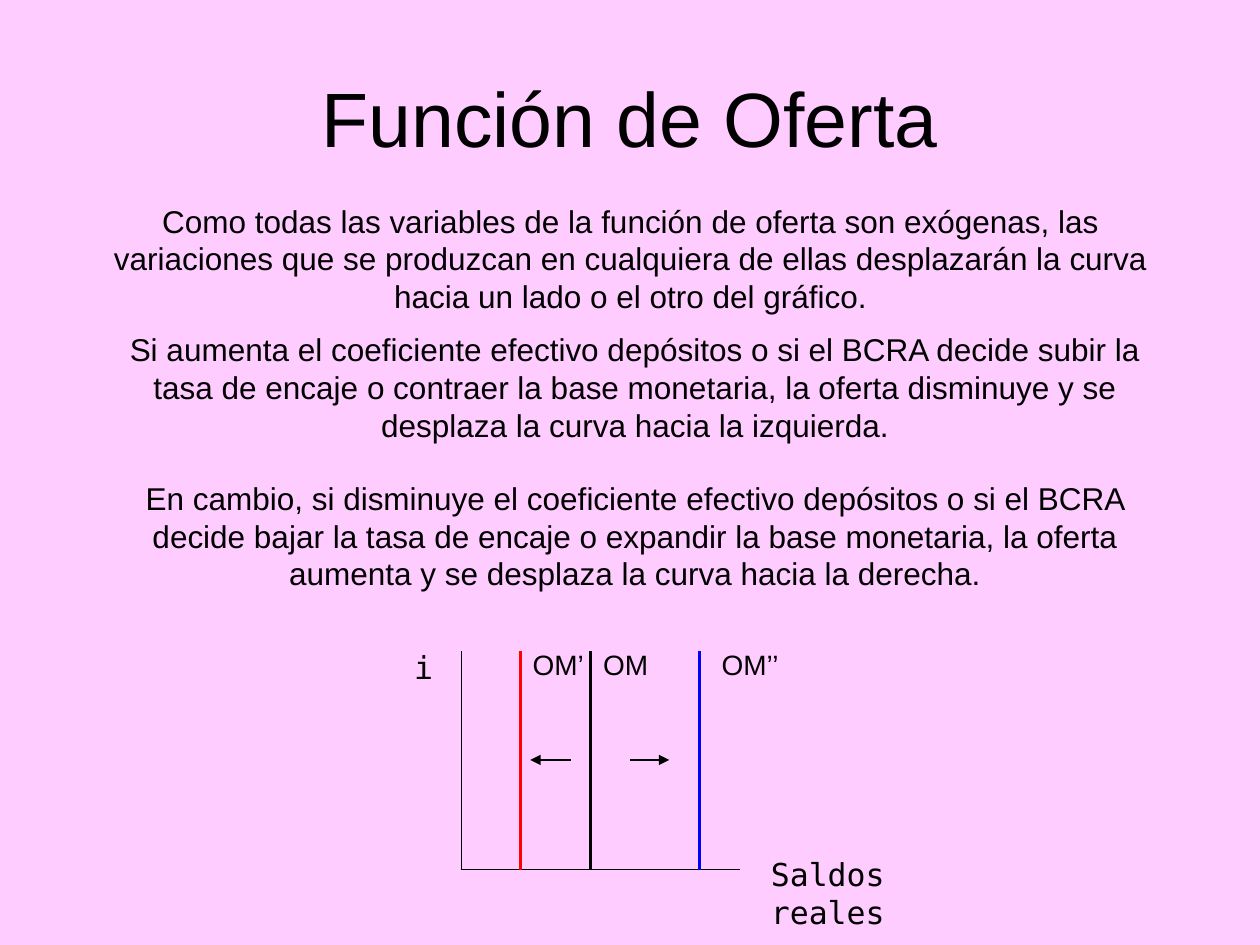
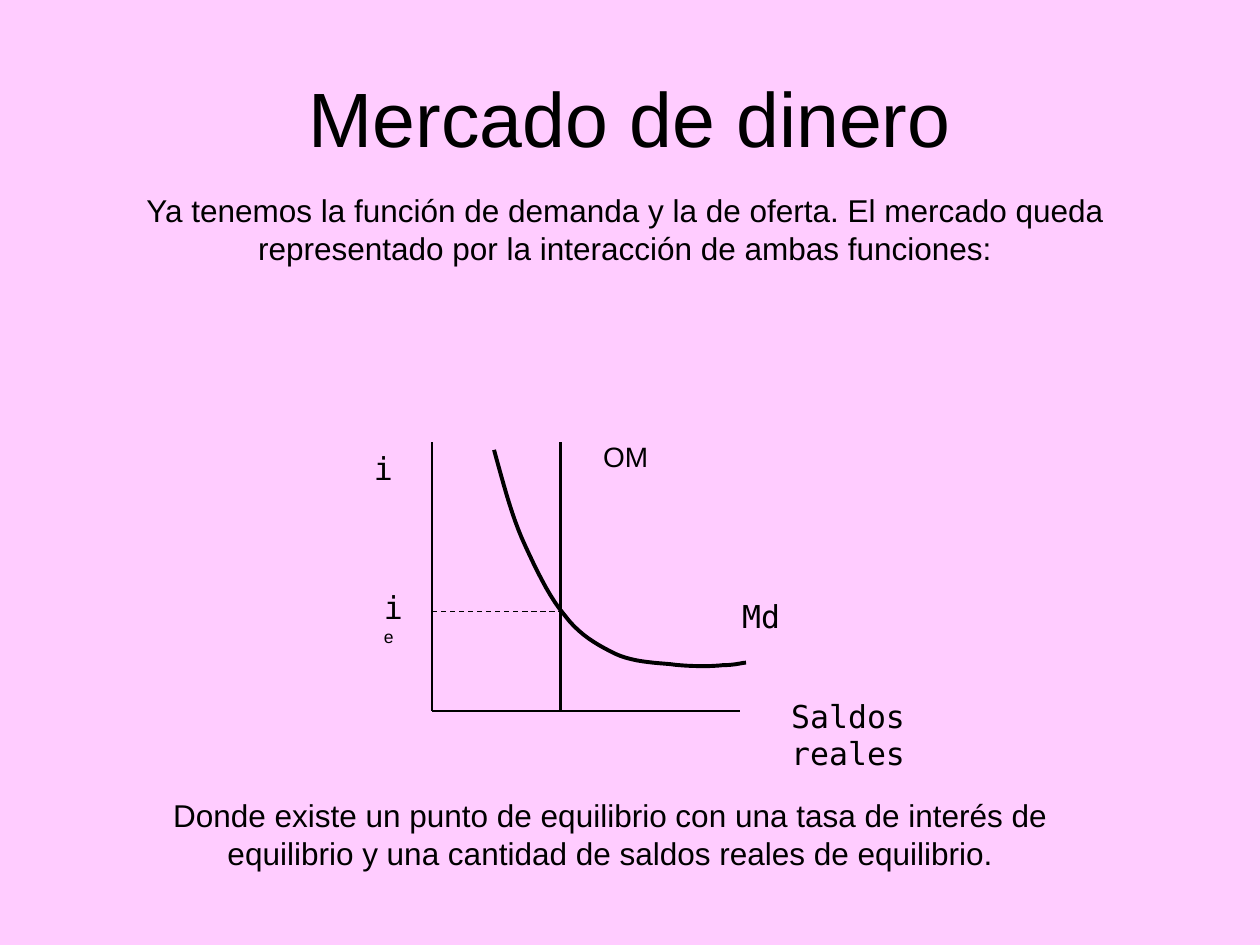
"""Builds two slides on money supply and the money market."""
from lxml import etree
from pptx import Presentation
from pptx.dml.color import RGBColor
from pptx.enum.dml import MSO_LINE
from pptx.enum.shapes import MSO_CONNECTOR
from pptx.enum.text import MSO_ANCHOR, PP_ALIGN
from pptx.oxml.ns import qn
from pptx.util import Cm, Pt

PINK = RGBColor(0xFF, 0xCC, 0xFF)
BLACK = RGBColor(0, 0, 0)
RED = RGBColor(0xFF, 0, 0)
BLUE = RGBColor(0, 0, 0xFF)

SANS = "Arial"
MONO = "DejaVu Sans Mono"

LEFT, CENTER = PP_ALIGN.LEFT, PP_ALIGN.CENTER
TOP, MIDDLE = MSO_ANCHOR.TOP, MSO_ANCHOR.MIDDLE
STRAIGHT = MSO_CONNECTOR.STRAIGHT
DASH = MSO_LINE.DASH

THIN, CURVE, THICK = 0.75, 1.75, 2.25
STEPS = 10

DEMAND_START = (9.96, 9.07)
DEMAND_BEZIERS = [
    ((10.13, 9.68), (10.29, 10.31), (10.52, 10.85)),
    ((10.77, 11.4), (11.05, 12.01), (11.38, 12.4)),
    ((11.68, 12.8), (12.04, 13), (12.4, 13.18)),
    ((12.75, 13.34), (13.16, 13.36), (13.51, 13.39)),
    ((13.87, 13.44), (14.33, 13.44), (14.58, 13.41)),
    ((14.83, 13.41), (14.96, 13.36), (15.04, 13.36)),
]


def add_run(p, text, size=18, font=SANS, color=BLACK):
    """Append a formatted run to a paragraph."""
    r = p.add_run()
    r.text = text
    r.font.size = Pt(size)
    r.font.name = font
    r.font.color.rgb = color


def add_text(s, text, x, y, w, h, align=LEFT, anchor=TOP, before=11.2, **font):
    """Add a wrapped text box and return its paragraph."""
    tf = s.shapes.add_textbox(Cm(x), Cm(y), Cm(w), Cm(h)).text_frame
    tf.word_wrap = True
    tf.vertical_anchor = anchor
    p = tf.paragraphs[0]
    p.alignment = align
    p.space_before = Pt(before)
    add_run(p, text, **font)
    return p


def add_body(s, text, x, y, w=22.2, h=1.78):
    """Add a centred body paragraph."""
    add_text(s, text, x, y, w, h, align=CENTER)


def add_curve_label(s, text, x, y, w=1.6):
    """Add the name of a supply curve."""
    add_text(s, text, x, y, w, 0.94, before=10, size=16)


def add_line(s, x1, y1, x2, y2, color=BLACK, width=THIN, dash=None, arrow=False):
    """Add a straight line, optionally dashed or with an arrowhead."""
    line = s.shapes.add_connector(STRAIGHT, Cm(x1), Cm(y1), Cm(x2), Cm(y2))
    line.line.color.rgb = color
    line.line.width = Pt(width)
    if dash:
        line.line.dash_style = dash
    if arrow:
        etree.SubElement(line.line._get_or_add_ln(), qn("a:tailEnd"), type="triangle")
    etree.SubElement(line._element.spPr, qn("a:effectLst"))


def add_axes(s, x, top, right, base):
    """Add the vertical and horizontal axes of a diagram."""
    add_line(s, x, top, x, base)
    add_line(s, x, base, right, base)


def add_axis_names(s, rate_at, balances_at):
    """Name the interest rate and real balances axes."""
    add_text(s, "i", *rate_at, 0.99, 1.02, font=MONO)
    add_text(s, "Saldos reales", *balances_at, 3.61, 1.78, font=MONO)


def bezier_points(start, beziers):
    """Return points along a chain of cubic Bézier segments."""
    points = [start]
    for c1, c2, end in beziers:
        origin = points[-1]
        for step in range(1, STEPS + 1):
            t = step / STEPS
            u = 1 - t
            points.append(tuple(
                u**3 * a + 3 * u * u * t * b + 3 * u * t * t * c + t**3 * d
                for a, b, c, d in zip(origin, c1, c2, end)))
    return points


def add_demand_curve(s):
    """Draw the money demand curve as an open outline."""
    points = [(Cm(x), Cm(y)) for x, y in bezier_points(DEMAND_START, DEMAND_BEZIERS)]
    builder = s.shapes.build_freeform(*points[0])
    builder.add_line_segments(points[1:], close=False)
    sp = builder.convert_to_shape()
    sp.shadow.inherit = False
    sp.fill.background()
    sp.line.color.rgb = BLACK
    sp.line.width = Pt(THICK)


def new_slide(prs, title):
    """Add a pink slide with its title."""
    s = prs.slides.add_slide(prs.slide_layouts[6])
    s.background.fill.solid()
    s.background.fill.fore_color.rgb = PINK
    add_text(s, title, 1.27, 0.76, 22.86, 3.18, align=CENTER, anchor=MIDDLE,
             before=0, size=44)
    return s


def build_supply(prs):
    """Build the slide on shifts of money supply."""
    s = new_slide(prs, "Función de Oferta")
    add_body(s, "Como todas las variables de la función de oferta son exógenas, "
             "las variaciones que se produzcan en cualquiera de ellas desplazarán "
             "la curva hacia un lado o el otro del gráfico.", 1.9, 3.94, 21.62, 2.54)
    add_body(s, "Si aumenta el coeficiente efectivo depósitos o si el BCRA decide "
             "subir la tasa de encaje o contraer la base monetaria, la oferta "
             "disminuye y se desplaza la curva hacia la izquierda.", 1.7, 6.53, h=2.54)
    add_body(s, "En cambio, si disminuye el coeficiente efectivo depósitos o si el "
             "BCRA decide bajar la tasa de encaje o expandir la base monetaria, la "
             "oferta aumenta y se desplaza la curva hacia la derecha.", 1.7, 9.53, h=2.54)
    top, base, arrow_y = 13.13, 17.53, 15.32
    add_axes(s, 9.3, top, 14.91, base)
    add_axis_names(s, (8.1, 12.93), (15.29, 17.12))
    for name, x, label_x, label_w, color in (
            ("OM", 11.91, 11.91, 1.6, BLACK),
            ("OM’’", 14.1, 14.3, 2, BLUE),
            ("OM’", 10.49, 10.49, 1.6, RED)):
        add_line(s, x, top, x, base, color=color, width=CURVE)
        add_curve_label(s, name, label_x, 12.93, label_w)
    for start, end in ((11.51, 10.69), (12.7, 13.49)):
        add_line(s, start, arrow_y, end, arrow_y, arrow=True)


def build_market(prs):
    """Build the slide on money market equilibrium."""
    s = new_slide(prs, "Mercado de dinero")
    add_body(s, "Ya tenemos la función de demanda y la de oferta. El mercado queda "
             "representado por la interacción de ambas funciones:", 1.5, 3.73)
    axis_x, top, base = 8.71, 8.92, 14.33
    supply_x, rate_y = 11.3, 12.32
    add_axes(s, axis_x, top, 14.91, base)
    add_axis_names(s, (7.29, 8.92), (15.7, 13.92))
    add_line(s, supply_x, top, supply_x, base, width=CURVE)
    add_curve_label(s, "OM", 11.91, 8.74)
    add_demand_curve(s)
    add_text(s, "Md", 14.71, 11.91, 1.4, 1.78, font=MONO)
    add_line(s, axis_x, rate_y, supply_x, rate_y, dash=DASH)
    p = add_text(s, "i ", 7.49, 11.73, 0.99, 1.45, before=6.2, font=MONO)
    add_run(p, "e", size=10)
    add_body(s, "Donde existe un punto de equilibrio con una tasa de interés de "
             "equilibrio y una cantidad de saldos reales de equilibrio.",
             2.9, 15.93, 18.8)


def main():
    """Build and save the presentation."""
    prs = Presentation()
    prs.slide_width, prs.slide_height = Cm(25.4), Cm(19.05)
    build_supply(prs)
    build_market(prs)
    prs.save("out.pptx")


if __name__ == "__main__":
    main()
